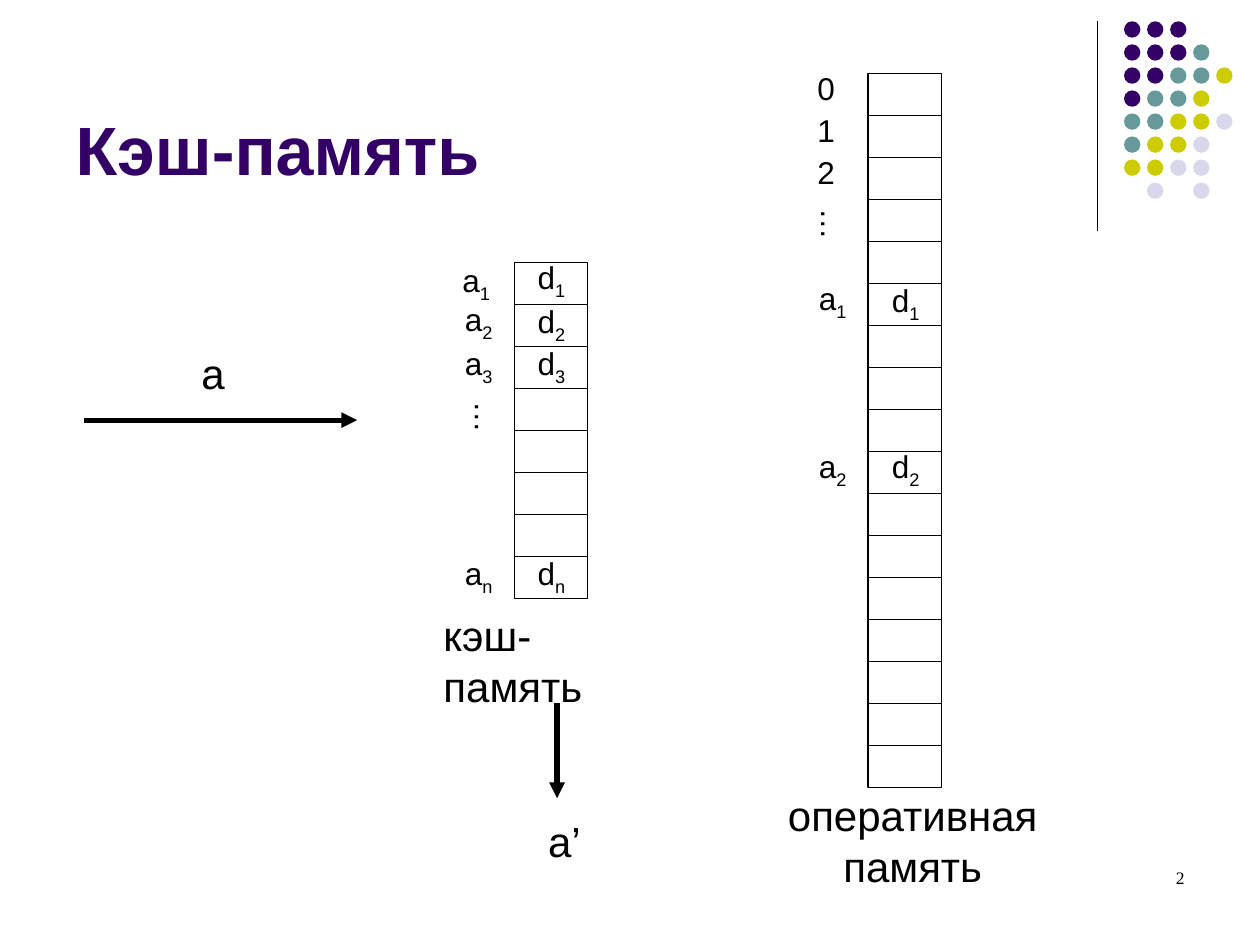
from dataclasses import dataclass

from lxml.etree import SubElement
from pptx import Presentation
from pptx.dml.color import RGBColor
from pptx.enum.shapes import MSO_CONNECTOR as Connector, MSO_SHAPE as Preset
from pptx.enum.text import MSO_ANCHOR as Anchor, MSO_AUTO_SIZE as AutoSize, PP_ALIGN as Align
from pptx.oxml.ns import qn
from pptx.util import Cm, Pt

COLORS = {
    "black": "000000",
    "purple": "330066",
    "teal": "669999",
    "olive": "CCCC00",
    "lavender": "D8D8EC",
}
DOT_COLORS = {"P": "purple", "T": "teal", "O": "olive", "L": "lavender"}
DOT_ROWS = ["PPP", "PPPT", "PPTTO", "PTTO", "TTOOL", "TOOL", "OOLL", " L L"]
DOT_LEFT, DOT_TOP, DOT_SIZE = 22.66, 0.43, 0.33
DOT_STEP = 3.25 / 7
CELL_WIDTH = 1.48
CELL_HEIGHT = 2.54 / 3


@dataclass
class Memory:
    left: float
    top: float
    cells: int


@dataclass
class Label:
    text: str
    left: float
    top: float
    width: float = 0.86
    height: float = 1.02
    subscript: str = ""
    size: int = 18
    font: str = "Arial"
    align: Align = Align.LEFT
    rotation: int = 0
    wrap: bool = False


@dataclass
class Line:
    start: tuple[float, float]
    end: tuple[float, float]
    width: float
    arrow: bool = False


def indexed(letter: str, index: str, left: float, top: float) -> Label:
    return Label(letter, left, top, 1.07, 1.12, subscript=index)


def ellipsis(left: float, top: float) -> Label:
    return Label("…", left, top, 1.14, rotation=90)


def caption(text: str, left: float, top: float, width: float, **options) -> Label:
    return Label(text, left, top, width, 1.27, size=24, **options)


MEMORIES = [Memory(17.5, 1.48, 17), Memory(10.37, 5.29, 8)]
LABELS = [
    indexed("a", "1", 9.07, 5.13),
    indexed("a", "2", 9.12, 5.92),
    indexed("a", "3", 9.12, 6.81),
    indexed("a", "n", 9.12, 11.05),
    indexed("d", "1", 10.59, 5.08),
    indexed("d", "2", 10.59, 5.97),
    indexed("d", "3", 10.59, 6.81),
    indexed("d", "n", 10.59, 11.05),
    indexed("a", "1", 16.26, 5.51),
    indexed("a", "2", 16.26, 8.89),
    indexed("d", "1", 17.73, 5.54),
    indexed("d", "2", 17.73, 8.89),
    *[Label(str(row), 16.23, 1.27 + row * CELL_HEIGHT) for row in range(3)],
    ellipsis(16.23, 4.01),
    ellipsis(9.25, 7.9),
    caption("кэш-память", 8.69, 12.17, 4.8, wrap=True),
    caption("оперативная\nпамять", 15.62, 15.8, 5.56, align=Align.CENTER),
    caption("a", 3.81, 6.88, 0.97),
    caption("a’", 10.8, 16.31, 1.17),
    Label("2", 18.21, 17.35, 5.92, 1.27, size=10, font="Times New Roman",
          align=Align.RIGHT, wrap=True),
]
LINES = [
    Line((22.12, 0.43), (22.12, 4.65), 0.75),
    Line((1.7, 8.47), (7.2, 8.47), 3, arrow=True),
    Line((11.23, 14.18), (11.23, 16.09), 3, arrow=True),
]


def color(name: str) -> RGBColor:
    return RGBColor.from_string(COLORS[name])


def add_run(paragraph, text: str, size: int, font: str, color_name: str = "black"):
    run = paragraph.add_run()
    run.text = text
    run.font.size = Pt(size)
    run.font.name = font
    run.font.color.rgb = color(color_name)
    return run


def draw_title(slide) -> None:
    title = slide.shapes.title
    title.left, title.top, title.width, title.height = Cm(1.27), Cm(0.33), Cm(20.96), Cm(3.61)
    frame = title.text_frame
    frame.auto_size = AutoSize.NONE
    frame.vertical_anchor = Anchor.BOTTOM
    paragraph = frame.paragraphs[0]
    paragraph.alignment = Align.LEFT
    add_run(paragraph, "Кэш-память", 39, "Arial", "purple").font.bold = True


def draw_dots(slide) -> None:
    for row, codes in enumerate(DOT_ROWS):
        for column, code in enumerate(codes):
            if code not in DOT_COLORS:
                continue
            dot = slide.shapes.add_shape(
                Preset.OVAL, Cm(DOT_LEFT + column * DOT_STEP), Cm(DOT_TOP + row * DOT_STEP),
                Cm(DOT_SIZE), Cm(DOT_SIZE))
            dot.shadow.inherit = False
            dot.fill.solid()
            dot.fill.fore_color.rgb = color(DOT_COLORS[code])
            dot.line.fill.background()


def draw_memory(slide, memory: Memory) -> None:
    for row in range(memory.cells):
        cell = slide.shapes.add_shape(
            Preset.RECTANGLE, Cm(memory.left), Cm(memory.top + row * CELL_HEIGHT),
            Cm(CELL_WIDTH), Cm(CELL_HEIGHT))
        cell.shadow.inherit = False
        cell.fill.background()
        cell.line.color.rgb = color("black")
        cell.line.width = Pt(0.75)


def draw_label(slide, label: Label) -> None:
    box = slide.shapes.add_textbox(
        Cm(label.left), Cm(label.top), Cm(label.width), Cm(label.height))
    box.rotation = label.rotation
    frame = box.text_frame
    frame.word_wrap = label.wrap
    paragraph = frame.paragraphs[0]
    paragraph.alignment = label.align
    for number, text in enumerate(label.text.split("\n")):
        if number:
            paragraph.add_line_break()
        add_run(paragraph, text, label.size, label.font)
    if label.subscript:
        run = add_run(paragraph, label.subscript, label.size, label.font)
        run.font._element.set("baseline", "-25000")


def draw_line(slide, line: Line) -> None:
    connector = slide.shapes.add_connector(
        Connector.STRAIGHT, *[Cm(value) for value in line.start + line.end])
    connector.line.color.rgb = color("black")
    connector.line.width = Pt(line.width)
    if line.arrow:
        SubElement(connector.line._get_or_add_ln(), qn("a:tailEnd"), type="triangle")
    SubElement(connector._element.spPr, qn("a:effectLst"))


def main() -> None:
    presentation = Presentation()
    presentation.slide_width, presentation.slide_height = Cm(25.4), Cm(19.05)
    slide = presentation.slides.add_slide(presentation.slide_layouts[5])
    draw_title(slide)
    draw_dots(slide)
    for memory in MEMORIES:
        draw_memory(slide, memory)
    for label in LABELS:
        draw_label(slide, label)
    for line in LINES:
        draw_line(slide, line)
    presentation.save("out.pptx")


if __name__ == "__main__":
    main()
